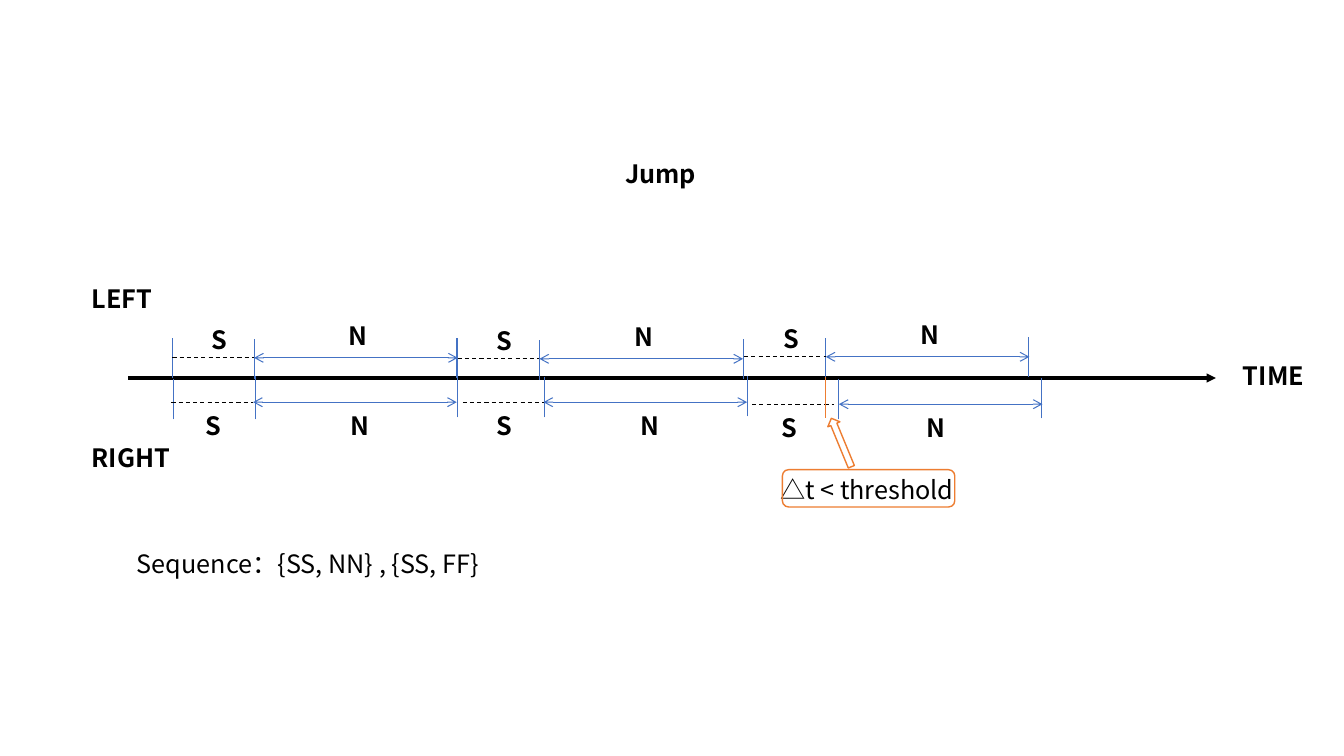
from dataclasses import dataclass

from lxml import etree
from pptx import Presentation
from pptx.dml.color import RGBColor
from pptx.enum import dml, shapes, text
from pptx.oxml.ns import qn
from pptx.util import Inches, Pt


@dataclass(frozen=True)
class Theme:
    font: str = "Noto Sans CJK SC"
    size: float = 18
    black: str = "000000"
    white: str = "FFFFFF"
    blue: str = "4472C4"
    orange: str = "ED7D31"
    axis_width: float = 2.25
    tick_width: float = 0.5
    span_width: float = 0.75
    accent_width: float = 1


@dataclass(frozen=True)
class Label:
    text: str
    left: float
    top: float
    width: float
    bold: bool = True


@dataclass(frozen=True)
class Step:
    swing: float
    stance: float
    y: float
    s_left: float
    n_left: float
    s_shift: float
    n_shift: float


@dataclass(frozen=True)
class Tick:
    x: float
    top: float


THEME = Theme()
LABEL_HEIGHT = 0.4
LETTER_WIDTH = 0.31
TICK_LENGTH = 0.4
SWING_LENGTH = 0.81
STANCE_LENGTH = 2.02

TITLE = Label("Jump", 6.1, 1.52, 0.92)
LABELS = [
    Label("LEFT", 0.81, 2.76, 0.9),
    Label("RIGHT", 0.81, 4.34, 1.19),
    Label("TIME", 12.23, 3.53, 0.86),
    Label("Sequence：{SS, NN} , {SS, FF}", 1.26, 5.39, 10.79, False),
    Label("△t < threshold", 7.64, 4.66, 2.02, False),
]
LEFT_STEPS = [
    Step(x, x + SWING_LENGTH, y, x + 0.29, x + 1.65, -0.38, -0.42)
    for x, y in [(1.71, 3.55), (4.54, 3.56), (7.38, 3.54)]
]
RIGHT_STEPS = [
    Step(swing, stance, y, s_left, n_left, 0.03, 0.03)
    for swing, stance, y, s_left, n_left in [
        (1.70, 2.51, 3.99, 1.94, 3.38),
        (4.59, 5.39, 3.99, 4.83, 6.25),
        (7.46, 8.32, 4.01, 7.65, 9.09),
    ]
]
TICKS = [
    Tick(x, top)
    for x, top in [
        (1.71, 3.35), (2.52, 3.36), (4.53, 3.35), (4.54, 3.35), (4.54, 3.36),
        (5.35, 3.37), (7.37, 3.36), (8.19, 3.35), (10.2, 3.34),
        (1.72, 3.76), (2.53, 3.76), (2.53, 3.73), (4.54, 3.74),
        (5.4, 3.74), (7.41, 3.73), (8.32, 3.76), (10.33, 3.75),
    ]
]


def write_label(sp, label: Label) -> None:
    sp.left, sp.top = Inches(label.left), Inches(label.top)
    sp.width, sp.height = Inches(label.width), Inches(LABEL_HEIGHT)
    tf = sp.text_frame
    tf.word_wrap = True
    tf.auto_size = text.MSO_AUTO_SIZE.SHAPE_TO_FIT_TEXT
    tf.vertical_anchor = text.MSO_ANCHOR.TOP
    p = tf.paragraphs[0]
    p.alignment = text.PP_ALIGN.LEFT
    r = p.add_run()
    r.text = label.text
    r.font.size = Pt(THEME.size)
    r.font.bold = label.bold
    r.font.color.rgb = RGBColor.from_string(THEME.black)
    r.font.name = THEME.font
    etree.SubElement(r.font._element, qn("a:ea"), typeface=THEME.font)


def add_label(s, label: Label) -> None:
    write_label(s.shapes.add_textbox(0, 0, 0, 0), label)


def add_line(s, x1: float, y1: float, x2: float, y2: float, color: str,
             width: float, head: str = "", tail: str = "",
             dashed: bool = False) -> None:
    c = s.shapes.add_connector(shapes.MSO_CONNECTOR.STRAIGHT, Inches(x1),
                               Inches(y1), Inches(x2), Inches(y2))
    c.line.color.rgb = RGBColor.from_string(color)
    c.line.width = Pt(width)
    if dashed:
        c.line.dash_style = dml.MSO_LINE.DASH
    ln = c.line._get_or_add_ln()
    for tag, kind in (("a:headEnd", head), ("a:tailEnd", tail)):
        if kind:
            etree.SubElement(ln, qn(tag), type=kind)
    etree.SubElement(c._element.spPr, qn("a:effectLst"))


def add_outline(s, kind: shapes.MSO_SHAPE, left: float, top: float,
                width: float, height: float, fill: str = "",
                rotation: float = 0) -> None:
    sp = s.shapes.add_shape(kind, Inches(left), Inches(top),
                            Inches(width), Inches(height))
    sp.shadow.inherit = False
    sp.rotation = rotation
    if fill:
        sp.fill.solid()
        sp.fill.fore_color.rgb = RGBColor.from_string(fill)
    else:
        sp.fill.background()
    sp.line.color.rgb = RGBColor.from_string(THEME.orange)
    sp.line.width = Pt(THEME.accent_width)


def add_step(s, step: Step) -> None:
    add_line(s, step.stance, step.y, step.stance + STANCE_LENGTH, step.y,
             THEME.blue, THEME.span_width, head="arrow", tail="arrow")
    add_line(s, step.swing, step.y, step.swing + SWING_LENGTH, step.y,
             THEME.black, THEME.span_width, dashed=True)
    add_label(s, Label("S", step.s_left, step.y + step.s_shift, LETTER_WIDTH))
    add_label(s, Label("N", step.n_left, step.y + step.n_shift, LETTER_WIDTH))


def main() -> None:
    prs = Presentation()
    prs.slide_width, prs.slide_height = Inches(13.33), Inches(7.5)
    s = prs.slides.add_slide(prs.slide_layouts[5])
    write_label(s.shapes.title, TITLE)
    add_line(s, 1.27, 3.75, 12.06, 3.75, THEME.black, THEME.axis_width,
             tail="triangle")
    for tick in TICKS:
        add_line(s, tick.x, tick.top + TICK_LENGTH, tick.x, tick.top,
                 THEME.blue, THEME.tick_width)
    for step in LEFT_STEPS + RIGHT_STEPS:
        add_step(s, step)
    add_line(s, 8.19, 3.74, 8.19, 4.15, THEME.orange, THEME.accent_width)
    add_outline(s, shapes.MSO_SHAPE.UP_ARROW, 8.28, 4.13, 0.13, 0.52,
                THEME.white, 337.6)
    for label in LABELS:
        add_label(s, label)
    add_outline(s, shapes.MSO_SHAPE.ROUNDED_RECTANGLE, 7.76, 4.66, 1.71, 0.37)
    prs.save("out.pptx")


if __name__ == "__main__":
    main()
